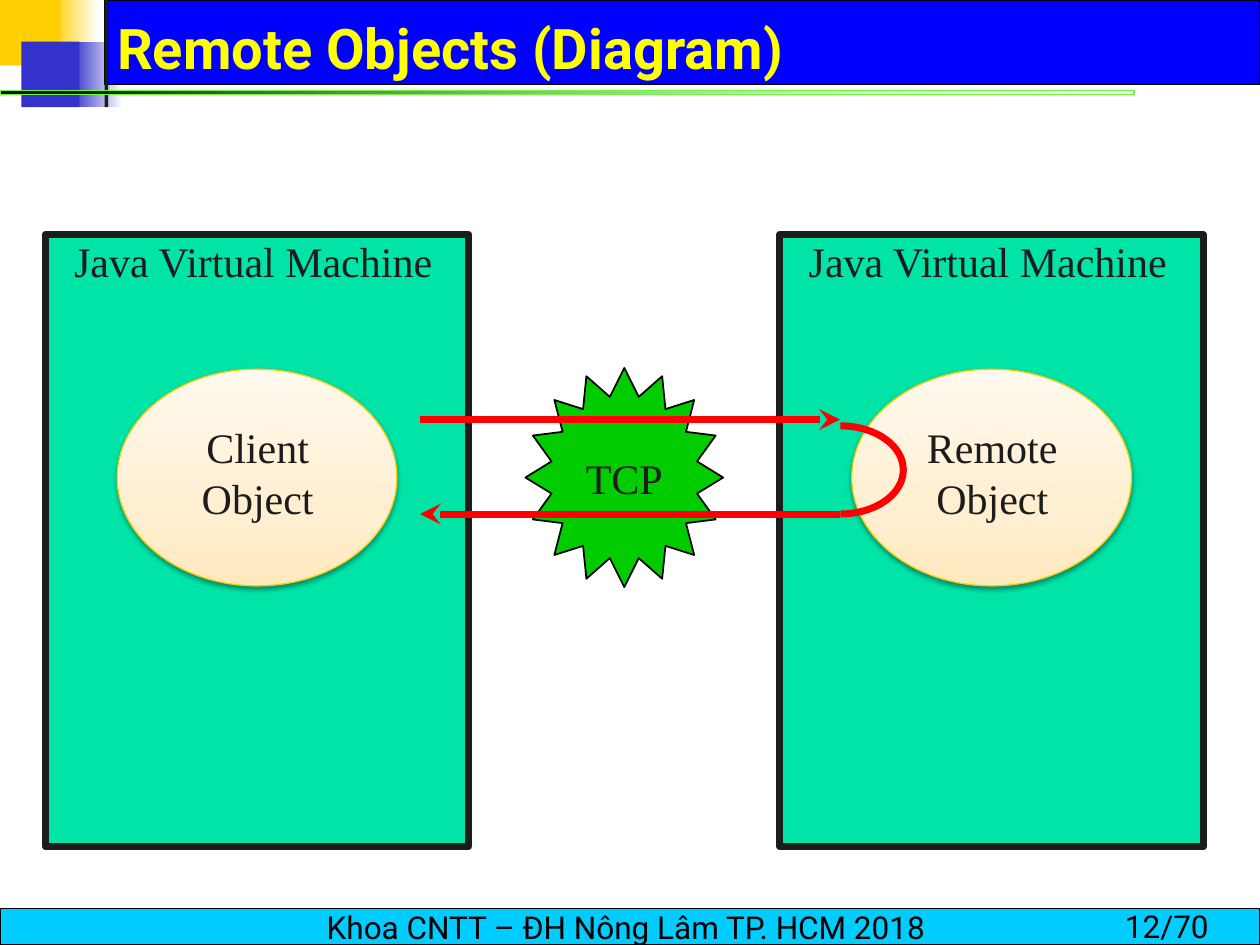
from lxml.etree import SubElement
from pptx import Presentation
from pptx.dml.color import RGBColor
from pptx.enum.shapes import MSO_CONNECTOR as CONN, MSO_SHAPE as SHAPE
from pptx.enum.text import MSO_ANCHOR as ANCHOR, MSO_AUTO_SIZE as AUTO, PP_ALIGN as ALIGN
from pptx.oxml.ns import qn
from pptx.util import Inches, Pt

W, H = 10, 7.5
SERIF, SANS = "Times New Roman", "Roboto"
DARK, RED = "1C1C1C", "FF0000"
CREAM = [(0, "FFE9BD", 100), (35, "FFEFD1", 100), (100, "FFF9EE", 100)]


def rgb(value):
    return RGBColor.from_string(value)


def add_color(parent, value, alpha):
    clr = SubElement(parent, qn("a:srgbClr"), val=value)
    if alpha < 100:
        SubElement(clr, qn("a:alpha"), val=str(alpha * 1000))


def set_gradient(sp, stops, angle):
    sp.fill.gradient()
    sp.fill.gradient_angle = angle
    stop_list = sp._element.spPr.find(".//" + qn("a:gsLst"))
    for old in list(stop_list):
        stop_list.remove(old)
    for pos, value, alpha in stops:
        add_color(SubElement(stop_list, qn("a:gs"), pos=str(pos * 1000)), value, alpha)


def set_line(line, color, width):
    line.color.rgb = rgb(color)
    line.width = Pt(width)


def add_block(s, kind, box, fill=None, line=None, width=0.75, angle=0):
    sp = s.shapes.add_shape(kind, *map(Inches, box))
    sp.shadow.inherit = False
    if fill is None:
        sp.fill.background()
    elif isinstance(fill, str):
        sp.fill.solid()
        sp.fill.fore_color.rgb = rgb(fill)
    else:
        set_gradient(sp, fill, angle)
    if line:
        set_line(sp.line, line, width)
    else:
        sp.line.fill.background()
    return sp


def set_text(sp, text, size, font, color, align=ALIGN.CENTER, anchor=ANCHOR.MIDDLE,
             wrap=False, bold=False):
    tf = sp.text_frame
    tf.text = text
    tf.word_wrap = wrap
    tf.auto_size = AUTO.NONE
    tf.vertical_anchor = anchor
    p = tf.paragraphs[0]
    p.alignment = align
    p.font.size, p.font.name, p.font.bold = Pt(size), font, bold
    p.font.color.rgb = rgb(color)


def add_label(s, box, text, **style):
    tb = s.shapes.add_textbox(*map(Inches, box))
    set_text(tb, text, anchor=ANCHOR.TOP, **style)


def add_soft_shadow(sp):
    effects = sp._element.spPr.find(qn("a:effectLst"))
    shadow = SubElement(effects, qn("a:outerShdw"), blurRad=str(Pt(3.1)),
                        dist=str(Pt(1.6)), dir="5400000", rotWithShape="0")
    add_color(shadow, "000000", 38)


def add_arrow(s, y, end):
    c = s.shapes.add_connector(CONN.STRAIGHT, Inches(W / 3), Inches(y),
                               Inches(W * 2 / 3), Inches(y))
    set_line(c.line, RED, 4)
    SubElement(c.line._get_or_add_ln(), qn(end), type="stealth")
    SubElement(c._element.spPr, qn("a:effectLst"))


def add_machine(s, left, name):
    add_block(s, SHAPE.RECTANGLE, (left, 1.86, 3.36, 4.86), "00E4A8", DARK, 4)
    add_label(s, (left + 0.13, 1.82, 3.07, 0.5), "Java Virtual Machine",
              size=24, font=SERIF, color=DARK, align=ALIGN.LEFT)
    oval = add_block(s, SHAPE.OVAL, (left + 0.57, 2.93, 2.22, 1.72), CREAM, "FACB00", angle=90)
    add_soft_shadow(oval)
    add_label(s, (left + 0.81, 3.3, 1.75, 0.9), name,
              size=24, font=SERIF, color=DARK, wrap=True)


def add_frame(s):
    for box, fill, line, width in [
        ((0.42, 0, 0.36, 0.52), [(0, "FFCF01", 100), (100, "FFFFFF", 100)], None, 0),
        ((0.57, 0.33, 0.4, 0.52), [(0, "3333CC", 100), (100, "FFFFFF", 100)], None, 0),
        ((0.83, 0, W - 0.83, 0.67), "0000FF", "000000", 0.75),
        ((0, 0, 0.48, 0.52), "FFCF01", None, 0),
        ((0.17, 0.33, 0.46, 0.52), "3333CC", None, 0),
        ((0.83, 0, 0.03, 0.85), DARK, None, 0),
        ((0, 0.72, 9, 0.03), [(0, "000000", 100), (100, "66FF33", 0)], "66FF33", 0),
    ]:
        add_block(s, SHAPE.RECTANGLE, box, fill, line, width)
    footer = add_block(s, SHAPE.RECTANGLE, (0, 7.21, W, H - 7.21), "00CCFF", "000000")
    set_text(footer, "Khoa CNTT – ĐH Nông Lâm TP. HCM 2018 ", 18, SANS, "000000")
    add_label(s, (8.83, 7.15, 1.17, 0.4), "12/70",
              size=18, font=SANS, color="000000", align=ALIGN.LEFT, wrap=True)


def add_title(s, text):
    title = s.shapes.title
    title.left, title.top, title.width, title.height = map(Inches, (0.83, 0.08, 8.94, 0.58))
    set_text(title, text, 32, SANS, "FFFF00", ALIGN.LEFT, wrap=True, bold=True)
    s.shapes._spTree.append(title._element)


def add_call(s):
    add_arrow(s, 3.33, "a:tailEnd")
    turn = add_block(s, SHAPE.ARC, (6.17, 3.38, 1, 0.7), None, RED, 4)
    turn.adjustments[1] = 54
    add_arrow(s, 4.08, "a:headEnd")


def main():
    prs = Presentation()
    prs.slide_width, prs.slide_height = Inches(W), Inches(H)
    s = prs.slides.add_slide(prs.slide_layouts[5])
    add_frame(s)
    star = add_block(s, SHAPE.STAR_16_POINT, (4.17, 2.92, 1.57, 1.74), "00CC00", "000000", 1)
    set_text(star, "TCP", 24, SERIF, DARK)
    add_title(s, "Remote Objects (Diagram)")
    for left, name in [(0.36, "Client Object"), (6.19, "Remote Object")]:
        add_machine(s, left, name)
    add_call(s)
    prs.save("out.pptx")


if __name__ == "__main__":
    main()
